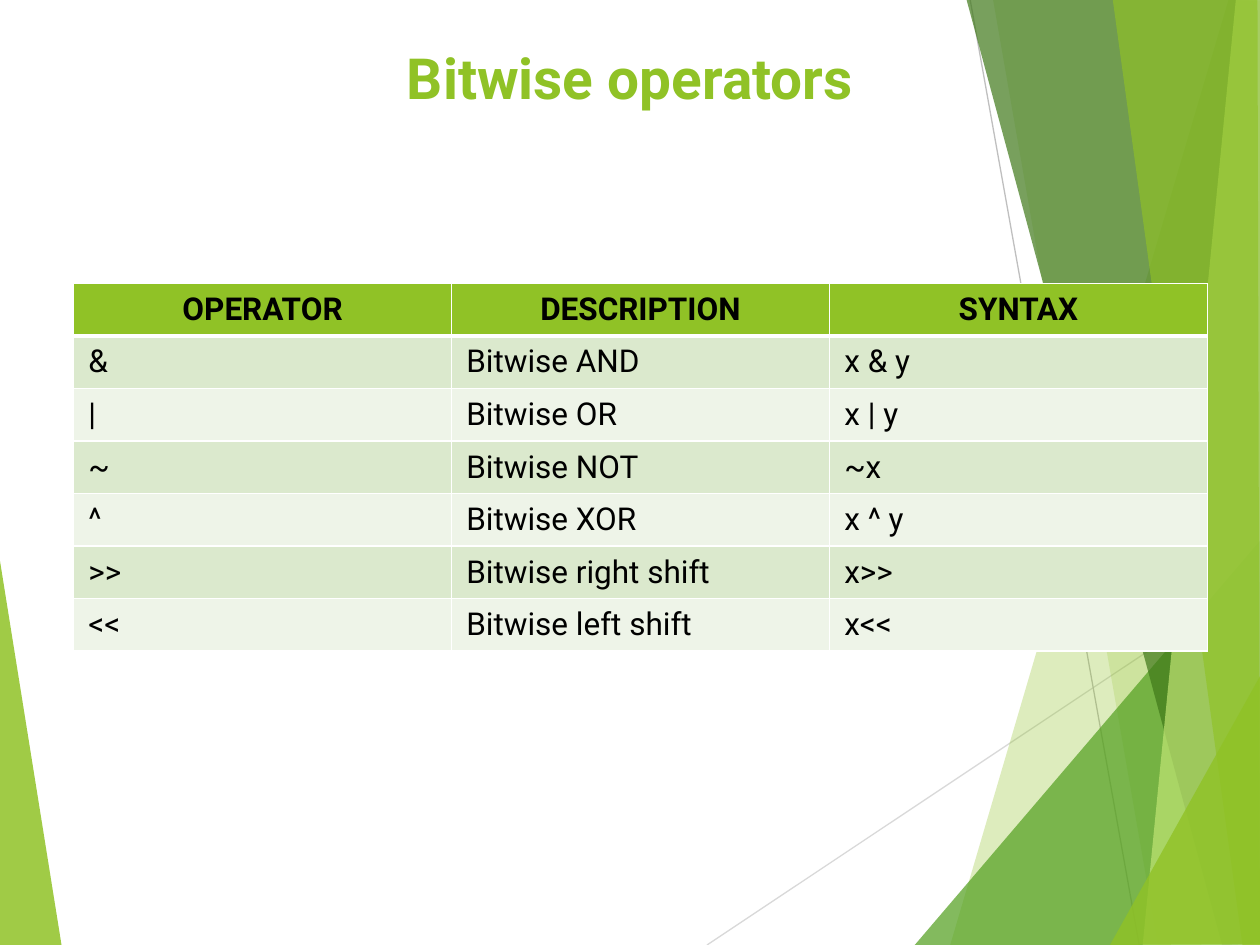
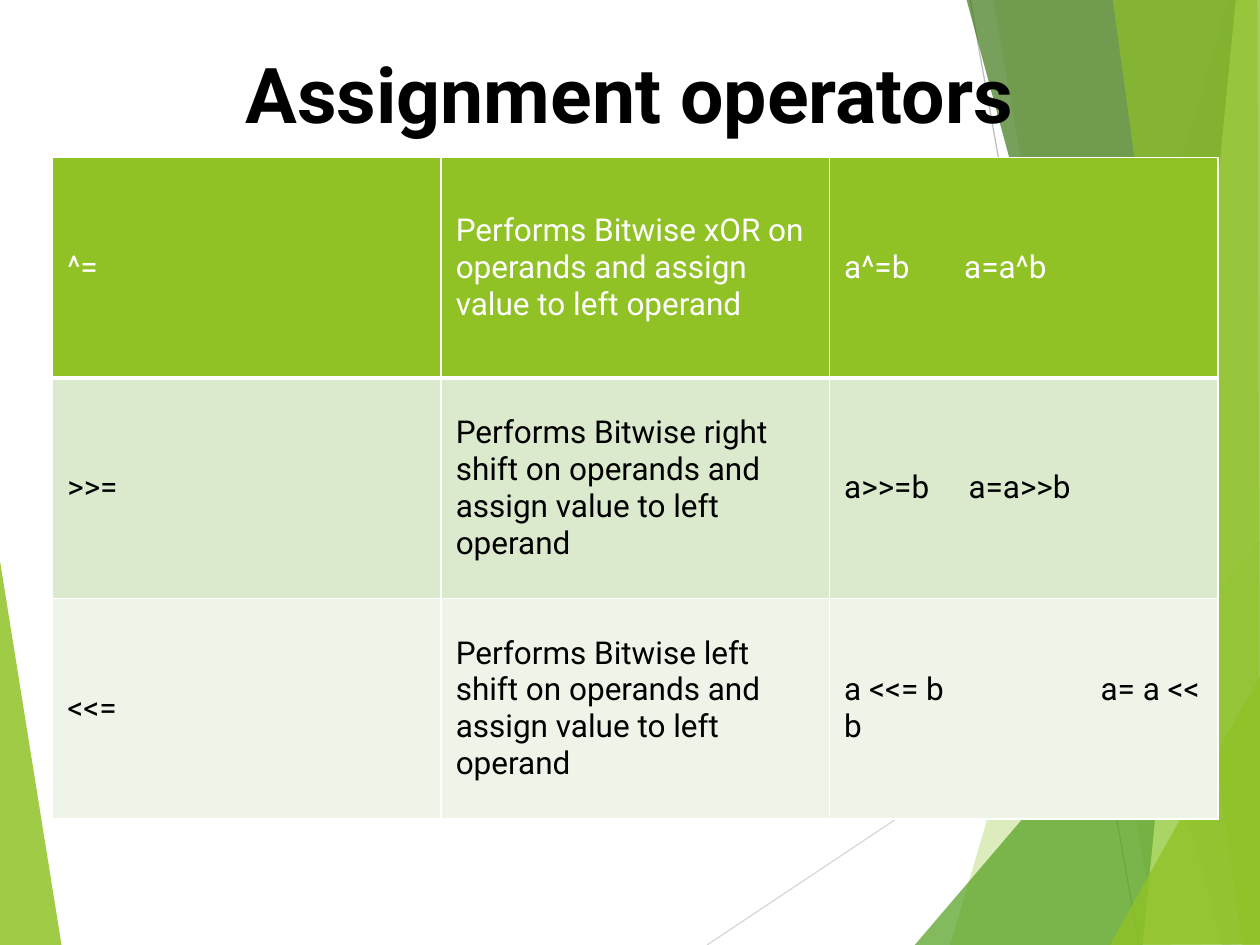
from lxml.etree import SubElement
from pptx import Presentation
from pptx.dml.color import RGBColor
from pptx.enum.shapes import MSO_CONNECTOR
from pptx.enum.text import MSO_ANCHOR, PP_ALIGN
from pptx.oxml.ns import qn
from pptx.util import Pt

FONT = "Roboto"
GREEN, BLACK, WHITE = "90C226", "000000", "FFFFFF"
ROW_BANDS = ["DBE9CD", "EEF4E8"]

# Decoration from back to front: corner points, colour, opacity in percent
LEFT_WEDGE = ([(-0.7, 316), (35.3, 540.7), (-0.7, 540)], GREEN, 85)
THIN_LINES = [
    ((404, 540), (720.7, 329), "D9D9D9"),
    ((554.4, 0), (651, 540), "BFBFBF"),
]
RIGHT_FACETS = [
    ([(702, 0), (543, 540), (721.4, 540.7), (720.7, 0.7)], GREEN, 30),
    ([(567.4, -0.7), (661.7, 540), (720.7, 540), (720.7, -0.7)], GREEN, 20),
    ([(522.7, 540), (720, 309), (720.7, 540)], "54A021", 72),
    ([(552.2, -0.7), (698.4, 540), (720.7, 539.3), (720.7, -0.7)], "3F7819", 70),
    ([(706.3, -0.7), (653, 540), (720.7, 540), (720, -0.7)], "C0E474", 70),
    ([(635.8, -0.7), (710, 540), (720, 540), (718.6, -0.7)], GREEN, 65),
    ([(634.3, 540), (720.7, 385.2), (720.7, 539.3)], GREEN, 80),
]

PAGES = [
    {
        "title": "Bitwise operators",
        "title_size": 32.4, "title_color": GREEN, "title_height": 44.6,
        "left": 42, "top": 162, "column_width": 216, "row_height": 29.6,
        "head_color": BLACK, "head_bold": True, "head_align": PP_ALIGN.CENTER,
        "tab_stops": [],
        "rows": [
            ("OPERATOR", "DESCRIPTION", "SYNTAX"),
            ("&", "Bitwise AND", "x & y"),
            ("|", "Bitwise OR", "x | y"),
            ("~", "Bitwise NOT", "~x"),
            ("^", "Bitwise XOR", "x ^ y"),
            (">>", "Bitwise right shift", "x>>"),
            ("<<", "Bitwise left shift", "x<<"),
        ],
    },
    {
        "title": "Assignment operators",
        "title_size": 44, "title_color": BLACK, "title_height": 62.6,
        "left": 30, "top": 90, "column_width": 222, "row_height": 126,
        "head_color": WHITE, "head_bold": False, "head_align": PP_ALIGN.LEFT,
        "tab_stops": [68.5, 71, 146.5],
        "rows": [
            ("^=", "Performs Bitwise xOR on operands and assign value to left operand",
             "a^=b\ta=a^b"),
            (">>=", "Performs Bitwise right shift on operands and assign value to left operand",
             "a>>=b\ta=a>>b"),
            ("<<=", "Performs Bitwise left shift on operands and assign value to left operand",
             "a <<= b\ta= a << b"),
        ],
    },
]


def rgb(value):
    return RGBColor.from_string(value)


def style_text(frame, size, color, bold, align):
    frame.word_wrap = True
    para = frame.paragraphs[0]
    para.alignment = align
    for span in para.runs:
        span.font.name = FONT
        span.font.size = Pt(size)
        span.font.bold = bold
        span.font.color.rgb = rgb(color)


deck = Presentation()
deck.slide_width, deck.slide_height = Pt(720), Pt(540)

for content in PAGES:
    page = deck.slides.add_slide(deck.slide_layouts[6])

    # Decoration
    for points, color, opacity in [LEFT_WEDGE] + RIGHT_FACETS:
        corners = [(Pt(x), Pt(y)) for x, y in points]
        builder = page.shapes.build_freeform(*corners[0])
        builder.add_line_segments(corners[1:], close=True)
        facet = builder.convert_to_shape()
        facet.shadow.inherit = False
        facet.line.fill.background()
        facet.fill.solid()
        facet.fill.fore_color.rgb = rgb(color)
        tint = facet.fill._xPr.find(qn("a:solidFill"))[0]
        SubElement(tint, qn("a:alpha"), val=str(opacity * 1000))
        if points is LEFT_WEDGE[0]:
            for start, end, line_color in THIN_LINES:
                line = page.shapes.add_connector(
                    MSO_CONNECTOR.STRAIGHT, *[Pt(value) for value in start + end])
                line.line.color.rgb = rgb(line_color)
                line.line.width = Pt(0.75)
                SubElement(line._element.spPr, qn("a:effectLst"))

    # Title
    box = page.shapes.add_textbox(Pt(36), Pt(21.6), Pt(648), Pt(content["title_height"]))
    box.text_frame.text = content["title"]
    box.text_frame.vertical_anchor = MSO_ANCHOR.MIDDLE
    style_text(box.text_frame, content["title_size"], content["title_color"],
               True, PP_ALIGN.CENTER)

    # Table
    rows = content["rows"]
    table = page.shapes.add_table(
        len(rows), 3, Pt(content["left"]), Pt(content["top"]),
        Pt(3 * content["column_width"]), Pt(len(rows) * content["row_height"])).table
    for row_index, texts in enumerate(rows):
        is_head = row_index == 0
        for column_index, text in enumerate(texts):
            cell = table.cell(row_index, column_index)
            cell.text_frame.text = text
            cell.vertical_anchor = MSO_ANCHOR.MIDDLE
            cell.margin_left = cell.margin_right = Pt(8.5)
            cell.margin_top = cell.margin_bottom = Pt(4.2)
            style_text(cell.text_frame, 18,
                       content["head_color"] if is_head else BLACK,
                       content["head_bold"] if is_head else False,
                       content["head_align"] if is_head else PP_ALIGN.LEFT)
            if "\t" in text:
                properties = cell.text_frame.paragraphs[0]._p.get_or_add_pPr()
                stops = SubElement(properties, qn("a:tabLst"))
                SubElement(stops, qn("a:tab"), algn="l",
                           pos=str(Pt(content["tab_stops"][row_index])))

            widths = {"L": 1, "R": 1, "T": 3 if row_index == 1 else 1, "B": 3 if is_head else 1}
            for side, width in widths.items():
                border = SubElement(cell._tc.get_or_add_tcPr(), qn("a:ln" + side),
                                    w=str(Pt(width)))
                SubElement(SubElement(border, qn("a:solidFill")), qn("a:srgbClr"), val=WHITE)
            cell.fill.solid()
            cell.fill.fore_color.rgb = rgb(GREEN if is_head else ROW_BANDS[(row_index - 1) % 2])

deck.save("out.pptx")
